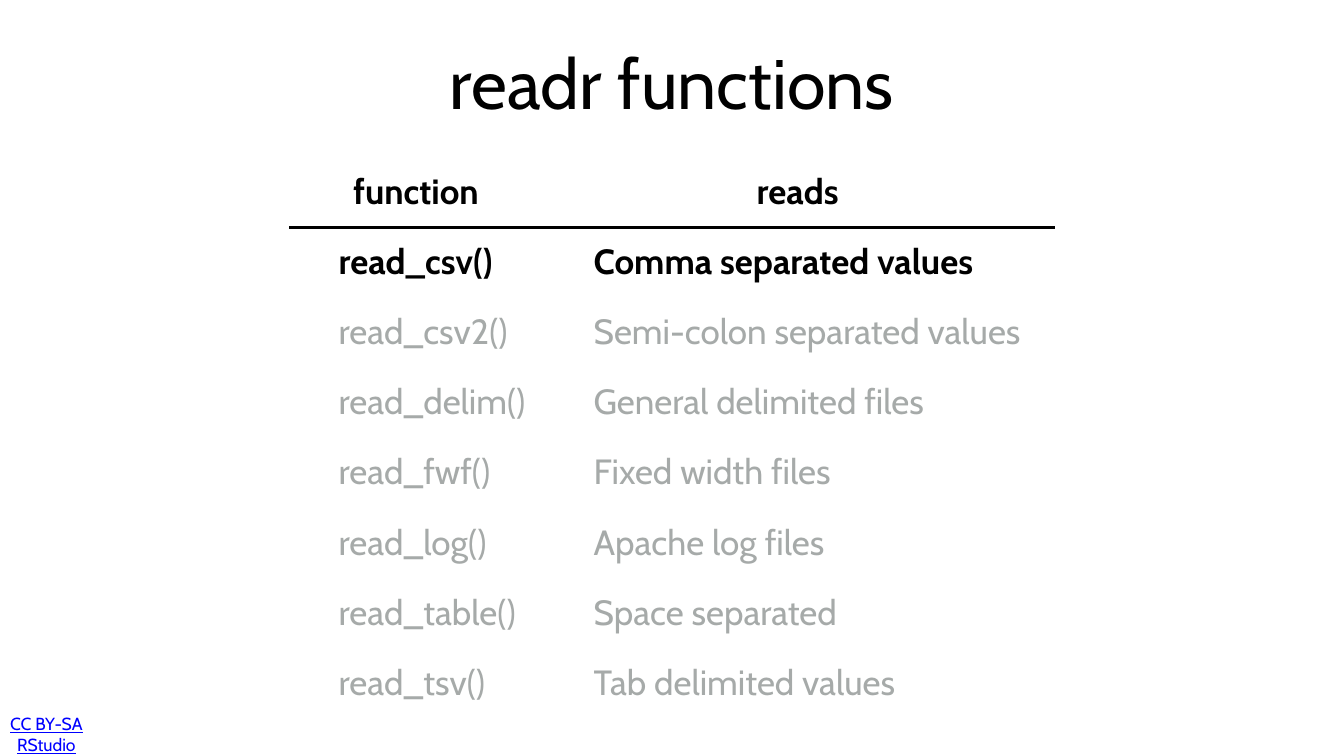
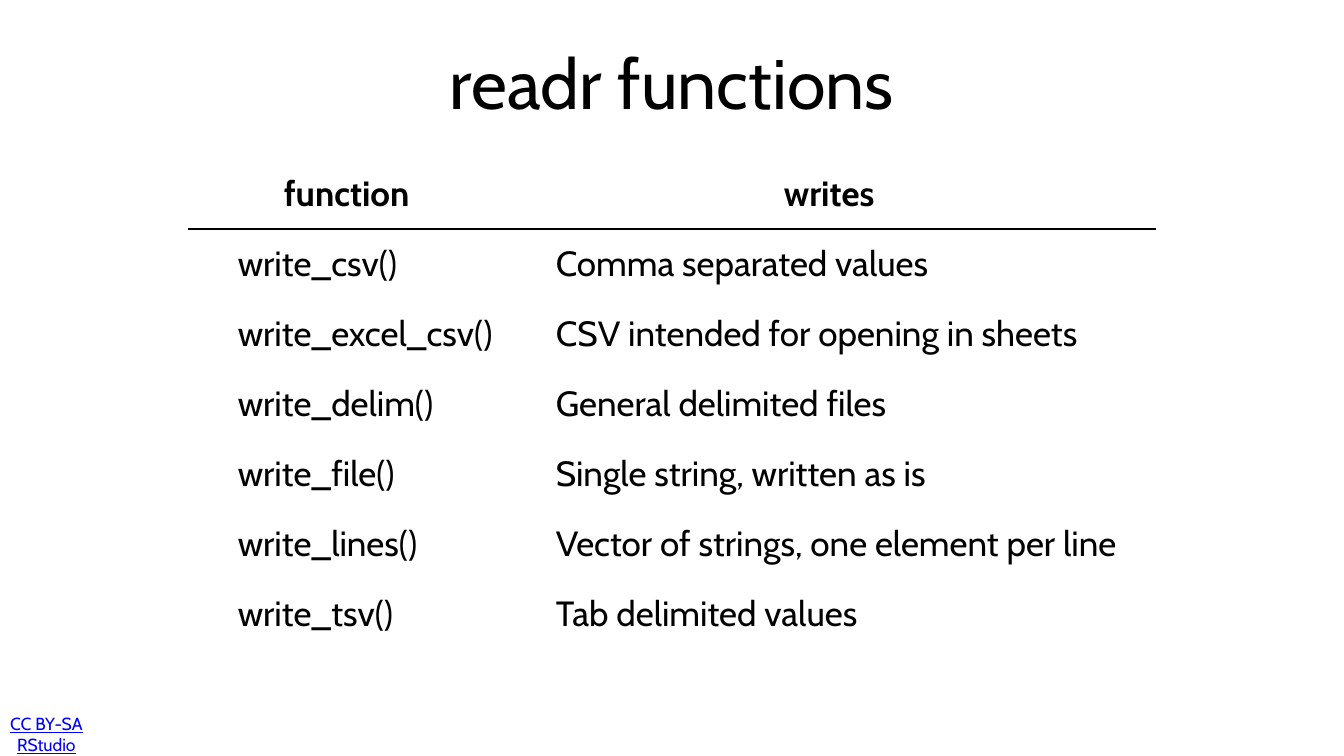
from dataclasses import dataclass

from lxml import etree
from pptx import Presentation
from pptx.dml.color import RGBColor
from pptx.enum import text
from pptx.oxml import ns
from pptx.util import Inches, Pt


@dataclass(frozen=True)
class Theme:
    font: str = "Cabin"
    black: str = "000000"
    white: str = "FFFFFF"
    grey: str = "A6AAA9"
    link: str = "0000FF"
    title_size: int = 100
    table_size: int = 50
    footer_size: int = 25
    rule_width: int = 4


theme = Theme()


def write(frame, words, size, color, bold=False, underline=False, indent=None):
    """Put one styled run in a frame, centred unless a first-line indent is given."""
    para = frame.paragraphs[0]
    if indent is None:
        para.alignment = text.PP_ALIGN.CENTER
    else:
        para.alignment = text.PP_ALIGN.LEFT
        properties = para._p.get_or_add_pPr()
        properties.set("marL", "0")
        properties.set("indent", str(Inches(indent)))
    span = para.add_run()
    span.text = words
    span.font.name = theme.font
    span.font.size = Pt(size)
    span.font.bold = bold
    span.font.underline = underline
    span.font.color.rgb = RGBColor.from_string(color)


def draw_borders(cell, **colors):
    """Set the cell's borders, given as L, R, T and B colours."""
    properties = cell._tc.get_or_add_tcPr()
    for side, color in colors.items():
        line = etree.SubElement(properties, ns.qn(f"a:ln{side}"), w=str(Pt(theme.rule_width)))
        fill = etree.SubElement(line, ns.qn("a:solidFill"))
        etree.SubElement(fill, ns.qn("a:srgbClr"), val=color)


# Content: highlighted is the row set in bold, the rows after it are greyed
pages = [
    dict(left=5.76, top=3.12, columns=(4.99, 10.16), highlighted=1, rows=[
        ("function", "reads"),
        ("read_csv()", "Comma separated values"),
        ("read_csv2()", "Semi-colon separated values"),
        ("read_delim()", "General delimited files"),
        ("read_fwf()", "Fixed width files"),
        ("read_log()", "Apache log files"),
        ("read_table()", "Space separated"),
        ("read_tsv()", "Tab delimited values"),
    ]),
    dict(left=3.76, top=3.15, columns=(6.24, 12.91), highlighted=None, rows=[
        ("function", "writes"),
        ("write_csv()", "Comma separated values"),
        ("write_excel_csv()", "CSV intended for opening in sheets"),
        ("write_delim()", "General delimited files"),
        ("write_file()", "Single string, written as is"),
        ("write_lines()", "Vector of strings, one element per line"),
        ("write_tsv()", "Tab delimited values"),
        ("", ""),
    ]),
]
row_height = 1.39
indents = (0.9, 0.97)

deck = Presentation()
deck.slide_width = Inches(26.67)
deck.slide_height = Inches(15)

for content in pages:
    page = deck.slides.add_slide(deck.slide_layouts[6])
    page.background.fill.solid()
    page.background.fill.fore_color.rgb = RGBColor.from_string(theme.white)

    # Footer and title
    for words, place, inset, size, color, underline in (
        ("CC BY-SA RStudio", (0.12, 14.26, 1.6, 0.6), 0.04, theme.footer_size, theme.link, True),
        ("readr functions", (4.38, 0.3, 17.9, 2.62), 0.06, theme.title_size, theme.black, False),
    ):
        box = page.shapes.add_textbox(*map(Inches, place))
        frame = box.text_frame
        frame.word_wrap = True
        frame.vertical_anchor = text.MSO_ANCHOR.MIDDLE
        frame.margin_left = frame.margin_right = Inches(inset)
        frame.margin_top = frame.margin_bottom = Inches(inset)
        write(frame, words, size, color, underline=underline)

    # Table of functions
    rows, columns = content["rows"], content["columns"]
    table = page.shapes.add_table(
        len(rows), len(columns), Inches(content["left"]), Inches(content["top"]),
        Inches(sum(columns)), Inches(row_height * len(rows))).table
    table.horz_banding = False
    for column, width in zip(table.columns, columns):
        column.width = Inches(width)

    for r, row in enumerate(rows):
        table.rows[r].height = Inches(row_height)
        header = r == 0
        bold = header or r == content["highlighted"]
        greyed = content["highlighted"] is not None and not bold
        for c, words in enumerate(row):
            cell = table.cell(r, c)
            cell.vertical_anchor = text.MSO_ANCHOR.MIDDLE
            cell.margin_left = cell.margin_right = Inches(0.06)
            cell.margin_top = cell.margin_bottom = Inches(0.06)
            draw_borders(cell, L=theme.white, R=theme.white,
                         T=theme.black if r == 1 else theme.white,
                         B=theme.black if header else theme.white)
            cell.fill.background()
            if words:
                write(cell.text_frame, words, theme.table_size,
                      theme.grey if greyed else theme.black, bold=bold,
                      indent=None if header else indents[c])

deck.save("out.pptx")
